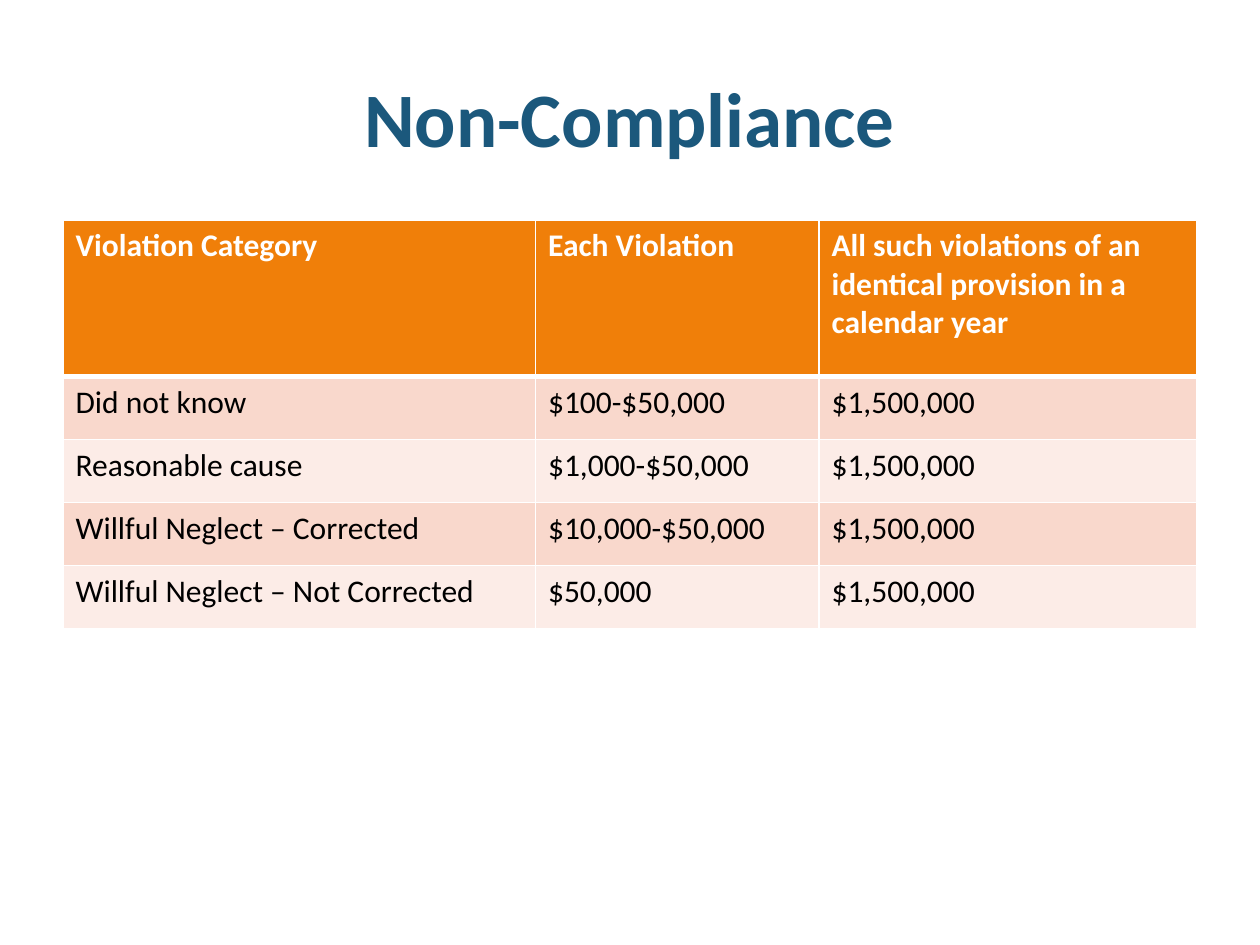
"""Build the Non-Compliance slide with its table of penalties."""
from dataclasses import dataclass

from lxml import etree
from pptx import Presentation
from pptx.dml.color import RGBColor
from pptx.enum import text
from pptx.oxml import ns
from pptx.util import Pt

FONT = "Calibri"
HUES = {
    "title": "1B587C",
    "head": "F07F09",
    "odd": "F9D8CC",
    "even": "FCECE7",
    "white": "FFFFFF",
    "black": "000000",
}
WIDTHS = (270, 162, 216)
HEAD_H, ROW_H = 89.28, 36
HEADS = (
    "Violation Category",
    "Each Violation",
    "All such violations of an identical provision in a calendar year",
)
TOTAL = "$1,500,000"
RANGES = (
    ("Did not know", "$100-$50,000"),
    ("Reasonable cause", "$1,000-$50,000"),
    ("Willful Neglect – Corrected", "$10,000-$50,000"),
    ("Willful Neglect – Not Corrected", "$50,000"),
)


@dataclass(frozen=True)
class Row:
    """Hold the words and the look of one table row."""

    words: tuple[str, ...]
    fill: str
    ink: str = "black"
    bold: bool = False
    height: float = ROW_H
    top: float = 1
    bottom: float = 1


def style(para, size: float, ink: str, bold: bool) -> None:
    """Set the font of a whole paragraph."""
    font = para.font
    font.name, font.size, font.bold = FONT, Pt(size), bold
    font.color.rgb = RGBColor.from_string(HUES[ink])


def edge(cell, side: str, width: float) -> None:
    """Draw a white border on one side of a cell."""
    props = cell._tc.get_or_add_tcPr()
    line = etree.SubElement(props, ns.qn(f"a:ln{side}"), w=str(Pt(width)))
    fill = etree.SubElement(line, ns.qn("a:solidFill"))
    etree.SubElement(fill, ns.qn("a:srgbClr"), val=HUES["white"])


def draw_row(table, index: int, row: Row) -> None:
    """Fill one row of the table."""
    table.rows[index].height = Pt(row.height)
    for cell, words in zip(table.rows[index].cells, row.words):
        cell.text = words
        style(cell.text_frame.paragraphs[0], 18, row.ink, row.bold)
        for side, width in zip("LRTB", (1, 1, row.top, row.bottom)):
            edge(cell, side, width)
        cell.fill.solid()
        cell.fill.fore_color.rgb = RGBColor.from_string(HUES[row.fill])


def draw_title(slide, words: str) -> None:
    """Place and format the title."""
    title = slide.shapes.title
    title.left, title.top, title.width, title.height = map(Pt, (36, 21.6, 648, 90))
    frame = title.text_frame
    frame.text = words
    frame.vertical_anchor = text.MSO_ANCHOR.MIDDLE
    para = frame.paragraphs[0]
    para.alignment = text.PP_ALIGN.CENTER
    style(para, 44, "title", True)


def draw_table(slide, rows: list[Row]) -> None:
    """Place the table and draw its rows."""
    height = sum(row.height for row in rows)
    box = map(Pt, (36, 126, sum(WIDTHS), height))
    table = slide.shapes.add_table(len(rows), len(WIDTHS), *box).table
    for column, width in zip(table.columns, WIDTHS):
        column.width = Pt(width)
    for index, row in enumerate(rows):
        draw_row(table, index, row)


def main() -> None:
    """Build and save the deck."""
    deck = Presentation()
    deck.slide_width, deck.slide_height = Pt(720), Pt(540)
    slide = deck.slides.add_slide(deck.slide_layouts[5])
    draw_title(slide, "Non-Compliance")
    rows = [Row(HEADS, "head", "white", True, HEAD_H, bottom=3)]
    for index, pair in enumerate(RANGES):
        fill = "even" if index % 2 else "odd"
        rows.append(Row((*pair, TOTAL), fill, top=1 if index else 3))
    draw_table(slide, rows)
    deck.save("out.pptx")


if __name__ == "__main__":
    main()
